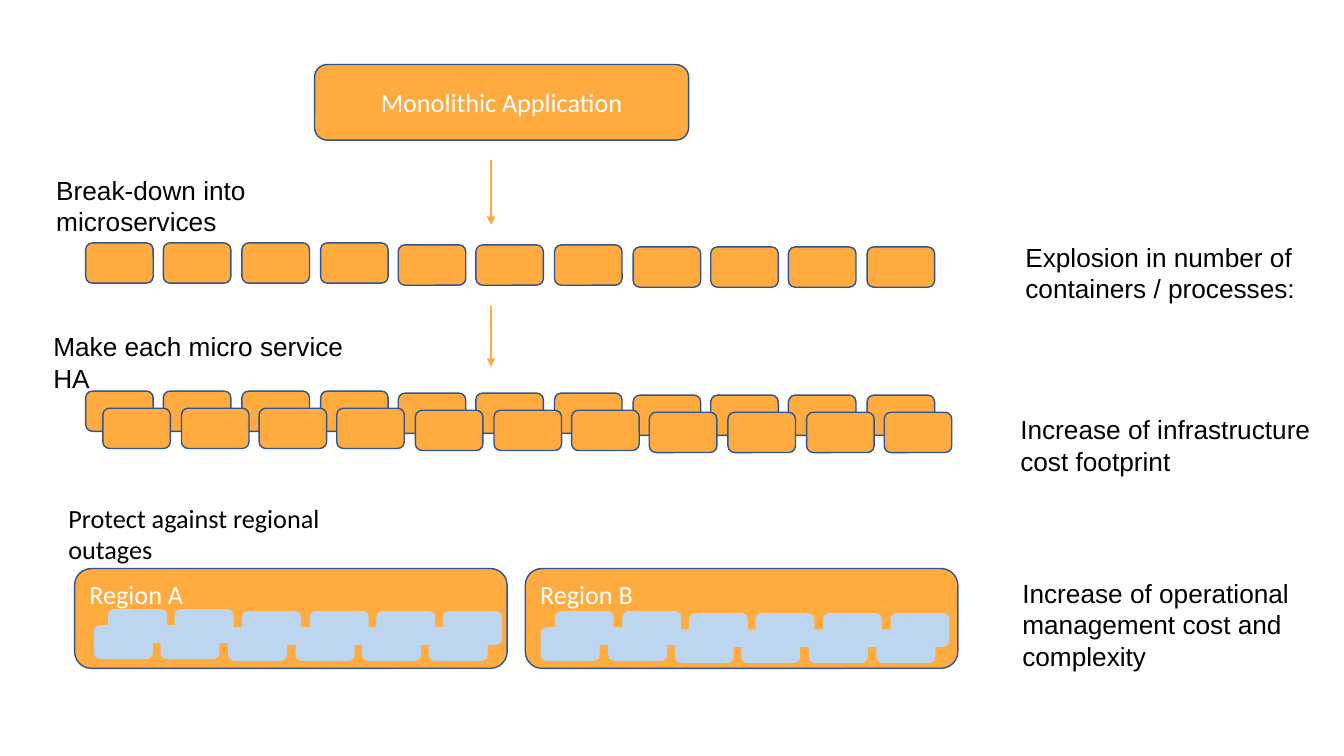
"""Draw a monolith broken into microservices, replicated and spread over two regions."""
from lxml import etree
from pptx import Presentation
from pptx.dml.color import RGBColor
from pptx.enum.shapes import MSO_CONNECTOR, MSO_SHAPE
from pptx.enum.text import MSO_ANCHOR, PP_ALIGN
from pptx.oxml.ns import qn
from pptx.util import Pt

PX = 9144
ROUND = MSO_SHAPE.ROUNDED_RECTANGLE
LINE = MSO_CONNECTOR.STRAIGHT
TOP, MIDDLE = MSO_ANCHOR.TOP, MSO_ANCHOR.MIDDLE
LEFT, CENTER = PP_ALIGN.LEFT, PP_ALIGN.CENTER
ORANGE, NAVY, BLUE = "FFAB40", "31538F", "BBD6EE"
BLACK, WHITE = "000000", "FFFFFF"
color = RGBColor.from_string

deck = Presentation()
deck.slide_width, deck.slide_height = 1333 * PX, 750 * PX
slide = deck.slides.add_slide(deck.slide_layouts[6])
shapes = slide.shapes


def box(parent, x, y, w, h, fill=ORANGE, line=NAVY):
    shape = parent.add_shape(ROUND, *(round(n) * PX for n in (x, y, w, h)))
    shape.shadow.inherit = False
    shape.fill.solid()
    shape.fill.fore_color.rgb = color(fill)
    shape.line.color.rgb = color(line)
    shape.line.width = Pt(1)
    return shape


def write(shape, text, font="Arial", ink=BLACK, anchor=TOP, align=LEFT, pad=(10, 5)):
    frame = shape.text_frame
    frame.word_wrap = True
    frame.vertical_anchor = anchor
    frame.margin_left = frame.margin_right = pad[0] * PX
    frame.margin_top = frame.margin_bottom = pad[1] * PX
    frame.text = text
    for para in frame.paragraphs:
        para.alignment = align
        para.font.name = font
        para.font.size = Pt(18.7)
        para.font.color.rgb = color(ink)


write(box(shapes, 312, 64, 371, 75), "Monolithic Application",
      font="Calibri", ink=WHITE, anchor=MIDDLE, align=CENTER)

for left, top in ((85, 241), (85, 388), (102, 405)):
    for i in range(11):
        drop = 2 * ((i > 3) + (i > 6))
        box(shapes, left + 77.5 * i, top + drop, 67, 40)

for start, end in ((159, 223), (304, 364)):
    arrow = shapes.add_connector(LINE, 487 * PX, start * PX, 487 * PX, end * PX)
    arrow.line.color.rgb = color(ORANGE)
    arrow.line.width = Pt(0.75)
    props = arrow._element.spPr
    etree.SubElement(props.find(qn("a:ln")), qn("a:tailEnd"), type="triangle")
    etree.SubElement(props, qn("a:effectLst"))

steps = (
    (46, 168, 364, "Break-down into microservices", "Arial"),
    (43, 323, 341, "Make each micro service HA", "Arial"),
    (58, 493, 349, "Protect against regional outages", "Calibri"),
)
for x, y, w, text, font in steps:
    write(shapes.add_textbox(x * PX, y * PX, w * PX, 40 * PX), text, font=font)

regions = (("Region A", 74, 94, 621), ("Region B", 521, 537, 623))
for name, x, left, top in regions:
    write(box(shapes, x, 564, 429, 99), name, font="Calibri", ink=WHITE)
    group = shapes.add_group_shape()
    for dx, dy in ((0, 0), (14, -16)):
        for i in range(6):
            drop = 2 * (i > 1)
            box(group.shapes, left + 66.5 * i + dx, top + dy + drop, 57, 32,
                fill=BLUE, line=BLUE)

costs = (
    (1004, 216, 304, 109, "Explosion in number of\ncontainers / processes:"),
    (999, 392, 327, 99, "Increase of infrastructure cost footprint"),
    (1001, 555, 310, 129, "Increase of operational\nmanagement cost and\ncomplexity"),
)
for x, y, w, h, text in costs:
    note = shapes.add_textbox(x * PX, y * PX, w * PX, h * PX)
    write(note, text, anchor=MIDDLE, pad=(13, 13))

deck.save("out.pptx")
